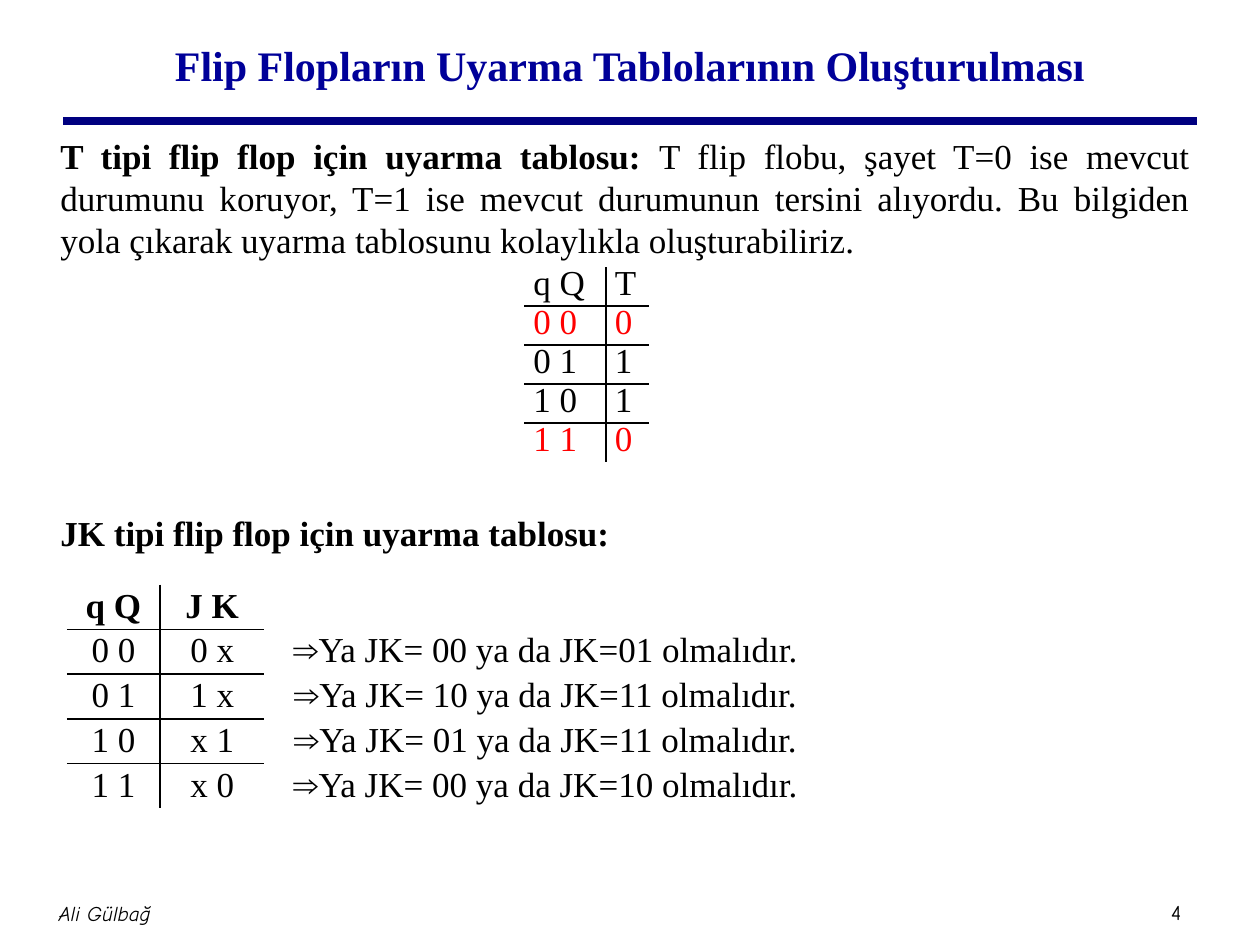
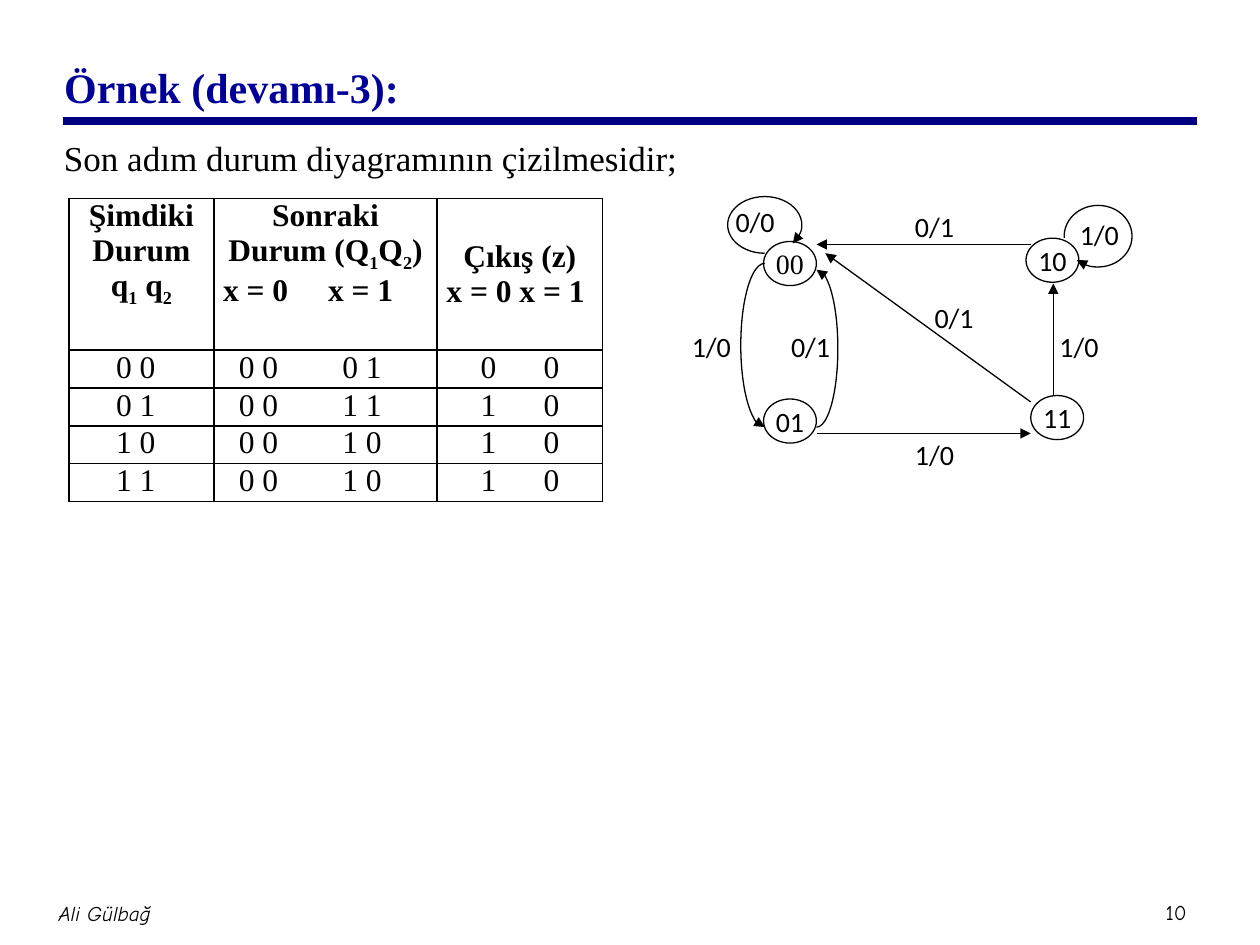
from lxml.etree import SubElement
from pptx import Presentation
from pptx.dml.color import RGBColor
from pptx.enum.shapes import MSO_CONNECTOR as Connector, MSO_SHAPE as Shape
from pptx.enum.text import MSO_ANCHOR as Anchor, PP_ALIGN as Align
from pptx.oxml.ns import qn
from pptx.util import Pt

BLACK = RGBColor(0, 0, 0)
WHITE = RGBColor(255, 255, 255)
RED = RGBColor(255, 0, 0)
RULE_BLUE = RGBColor(0, 0, 0x80)
TITLE_BLUE = RGBColor(0, 0, 0x99)
SERIF, SANS, COMIC = "Times New Roman", "Calibri", "Comic Neue"
NO_GRID_STYLE = "{2D5ABB26-0587-4C30-8999-92F81FD0307C}"


def style_runs(runs, size, font=SERIF, color=BLACK, bold=False, italic=False):
    """Format the given runs alike."""
    for run in runs:
        run.font.size, run.font.name = Pt(size), font
        run.font.color.rgb = color
        run.font.bold, run.font.italic = bold, italic


def add_text(slide, text, box, size, font=SERIF, align=Align.LEFT, inset=None, italic=False):
    """Add a text box with one paragraph and return its frame."""
    frame = slide.shapes.add_textbox(*map(Pt, box)).text_frame
    frame.word_wrap = True
    if inset is not None:
        frame.margin_left = frame.margin_right = Pt(inset)
        frame.margin_top = frame.margin_bottom = Pt(inset)
        frame.vertical_anchor = Anchor.MIDDLE
    paragraph = frame.paragraphs[0]
    paragraph.text, paragraph.alignment = text, align
    style_runs(paragraph.runs, size, font, italic=italic)
    return frame


def add_line(slide, start, end, color=BLACK, width=0.75):
    """Add a straight connector without a shadow."""
    connector = slide.shapes.add_connector(
        Connector.STRAIGHT, *map(Pt, (*start, *end)))
    connector.line.color.rgb, connector.line.width = color, Pt(width)
    SubElement(connector._element.spPr, qn("a:effectLst"))
    return connector


def add_arrowhead(shape, end="tailEnd"):
    """Put a triangle at one end of a line."""
    outline = shape._element.spPr.find(qn("a:ln"))
    SubElement(outline, qn(f"a:{end}"), type="triangle")


def start_slide(deck, title, number, left, top, align):
    """Add a titled slide with the shared rule, author and page number."""
    slide = deck.slides.add_slide(deck.slide_layouts[5])
    heading = slide.shapes.title
    heading.left, heading.top, heading.width, heading.height = map(
        Pt, (left, top, 612, 61.9))
    heading.text_frame.text = title
    heading.text_frame.vertical_anchor = Anchor.MIDDLE
    paragraph = heading.text_frame.paragraphs[0]
    paragraph.alignment = align
    style_runs(paragraph.runs, 24, color=TITLE_BLUE, bold=True)
    add_line(slide, (36, 69.1), (684, 69.1), RULE_BLUE, 4.5)
    add_text(slide, number, (655.2, 510.5, 33.8, 21.6), 12, COMIC, Align.CENTER, 3.6)
    add_text(slide, "Ali Gülbağ", (23.8, 504, 72, 36), 12, COMIC, Align.CENTER, 3.6, True)
    return slide


def add_explanation(slide):
    """Add the text about both flip flops."""
    frame = add_text(slide, "T tipi flip flop için uyarma tablosu: ",
                     (27.4, 73.4, 659.5, 267.8), 20, align=Align.JUSTIFY)
    t_text = frame.paragraphs[0]
    style_runs(t_text.runs, 20, bold=True)
    statement = t_text.add_run()
    statement.text = ("T flip flobu, şayet T=0 ise mevcut durumunu koruyor, T=1 ise "
                      "mevcut durumunun tersini alıyordu. Bu bilgiden yola çıkarak "
                      "uyarma tablosunu kolaylıkla oluşturabiliriz.")
    style_runs([statement], 20)
    jk_text = frame.add_paragraph()
    jk_text.text = "JK tipi flip flop için uyarma tablosu:"
    jk_text.space_before = Pt(143.4)
    style_runs(jk_text.runs, 20, bold=True)


def add_grid(slide, left, top, widths, heights):
    """Add an unstyled table with the given column widths and row heights."""
    table = slide.shapes.add_table(
        len(heights), len(widths), Pt(left), Pt(top),
        Pt(sum(widths)), Pt(sum(heights))).table
    table.first_row = table.horz_banding = False
    table._tbl.tblPr.find(qn("a:tableStyleId")).text = NO_GRID_STYLE
    for column, width in zip(table.columns, widths):
        column.width = Pt(width)
    for row, height in zip(table.rows, heights):
        row.height = Pt(height)
    for cell in table.iter_cells():
        cell.margin_left = cell.margin_right = Pt(5.3)
        cell.margin_top = cell.margin_bottom = 0
        cell.fill.background()
    return table


def draw_border(cell, position, side, width):
    """Set one cell border; a zero width hides it."""
    properties = cell._tc.get_or_add_tcPr()
    border = SubElement(properties, qn(f"a:ln{side}"), w=str(Pt(width)))
    properties.insert(position, border)
    if width:
        paint = SubElement(border, qn("a:solidFill"))
        SubElement(paint, qn("a:srgbClr"), val=str(BLACK))
    else:
        SubElement(border, qn("a:noFill"))


def rule_table(table, verticals, horizontals, ruled_columns, vertical_width=1.5):
    """Rule the numbered column and row boundaries of a table."""
    for r in range(len(table.rows)):
        for c in range(len(table.columns)):
            cell = table.cell(r, c)
            right = c + (cell.span_width if cell.is_merge_origin else 1)
            row_width = 1 if c < ruled_columns else 0
            borders = (("L", c in verticals, vertical_width),
                       ("R", right in verticals, vertical_width),
                       ("T", r in horizontals, row_width),
                       ("B", r + 1 in horizontals, row_width))
            for position, (side, ruled, width) in enumerate(borders):
                draw_border(cell, position, side, width if ruled else 0)


def fill_cell(cell, text, size, align=Align.CENTER, color=BLACK, bold=False, spacing=None):
    """Write one line into a table cell."""
    paragraph = cell.text_frame.paragraphs[0]
    paragraph.text, paragraph.alignment = text, align
    if spacing:
        paragraph.line_spacing = spacing
    style_runs(paragraph.runs, size, color=color, bold=bold)
    return paragraph


def add_tab_stop(paragraph, position):
    """Add a left tab stop to a paragraph."""
    stops = SubElement(paragraph._p.get_or_add_pPr(), qn("a:tabLst"))
    SubElement(stops, qn("a:tab"), pos=str(Pt(position)), algn="l")


def fill_header(cell, lines):
    """Write bold header lines, each a list whose odd parts are subscripts."""
    frame = cell.text_frame
    for index, (parts, align) in enumerate(lines):
        paragraph = frame.add_paragraph() if index else frame.paragraphs[0]
        paragraph.alignment = align
        for place, part in enumerate(parts):
            run = paragraph.add_run()
            run.text = part
            if place % 2:
                run._r.get_or_add_rPr().set("baseline", "-25000")
        style_runs(paragraph.runs, 18, bold=True)


def add_t_table(slide):
    """Add the excitation table of the T flip flop."""
    rows = [("q Q", "T"), ("0 0", "0"), ("0 1", "1"), ("1 0", "1"), ("1 1", "0")]
    table = add_grid(slide, 299.5, 152.6, (46.6, 25), [22.3] * len(rows))
    for r, row in enumerate(rows):
        for c, text in enumerate(row):
            color = RED if r in (1, 4) else BLACK
            fill_cell(table.cell(r, c), text, 20, Align.LEFT, color, spacing=0.92)
    rule_table(table, {1}, range(1, 5), 2)


def add_jk_table(slide):
    """Add the excitation table of the JK flip flop with its reasons."""
    rows = [("q Q", "J K", None), ("0 0", "0 x", ("00", "01")),
            ("0 1", "1 x", ("10", "11")), ("1 0", "x 1", ("01", "11")),
            ("1 1", "x 0", ("00", "10"))]
    table = add_grid(slide, 38.2, 334, (53.3, 59.6, 321.3), [25.6] * len(rows))
    for r, (states, inputs, choices) in enumerate(rows):
        texts = [states, inputs]
        if choices:
            texts.append("⇒Ya JK= {} ya da JK={} olmalıdır.".format(*choices))
        for c, text in enumerate(texts):
            fill_cell(table.cell(r, c), text, 20, bold=r == 0, spacing=1.06)
    rule_table(table, {1}, range(1, 5), 2, 1)


def add_state_table(slide):
    """Add the table of present states, next states and outputs."""
    rows = [("0 0", "0 0", "0 1", "0\t0"), ("0 1", "0 0", "1 1", "1\t0"),
            ("1 0", "0 0", "1 0", "1\t0"), ("1 1", "0 0", "1 0", "1\t0")]
    table = add_grid(slide, 39.4, 113.4, (67.7, 15.1, 54.7, 73, 94.5),
                     [86.7] + [21.6] * len(rows))
    present, following, output = (table.cell(0, c) for c in (0, 2, 4))
    present.merge(table.cell(0, 1))
    following.merge(table.cell(0, 3))
    center, left = Align.CENTER, Align.LEFT
    fill_header(present, [(["Şimdiki"], center), (["Durum"], center),
                          (["q", "1", " q", "2"], center)])
    fill_header(following, [(["Sonraki"], center),
                            (["Durum (Q", "1", "Q", "2", ")"], center),
                            (["x = 0\tx = 1"], left)])
    add_tab_stop(following.text_frame.paragraphs[2], 60)
    fill_header(output, [(["Çıkış (z)"], center), (["x = 0 x = 1"], left)])
    output.margin_top = Pt(23.5)
    columns = ((0, 14, center), (2, 14.3, left), (3, 18.8, left), (4, 24.8, left))
    for r, row in enumerate(rows, 1):
        for (c, margin, align), text in zip(columns, row):
            cell = table.cell(r, c)
            cell.margin_left = Pt(margin)
            paragraph = fill_cell(cell, text, 18, align)
            if "\t" in text:
                add_tab_stop(paragraph, 36)
    rule_table(table, {0, 2, 4, 5}, range(6), 5, 1)


def add_state(slide, name, left, top, font=SANS):
    """Add one state of the diagram."""
    state = slide.shapes.add_shape(Shape.OVAL, *map(Pt, (left, top, 30.2, 25.2)))
    state.shadow.inherit = False
    state.fill.solid()
    state.fill.fore_color.rgb = WHITE
    state.line.color.rgb, state.line.width = BLACK, Pt(0.75)
    frame = state.text_frame
    frame.margin_left = frame.margin_right = 0
    frame.margin_top = frame.margin_bottom = 0
    frame.word_wrap = False
    frame.vertical_anchor = Anchor.MIDDLE
    frame.text = name
    frame.paragraphs[0].alignment = Align.CENTER
    style_runs(frame.paragraphs[0].runs, 16, font)


def add_arc_arrow(slide, center, radii, start, end, arrow_end="tailEnd"):
    """Add an elliptic arrow running clockwise between two angles in degrees."""
    (x, y), (rx, ry) = center, radii
    arc = slide.shapes.add_shape(Shape.ARC, *map(Pt, (x - rx, y - ry, 2 * rx, 2 * ry)))
    arc.adjustments[0], arc.adjustments[1] = start * 0.6, end * 0.6
    arc.shadow.inherit = False
    arc.fill.background()
    arc.line.color.rgb, arc.line.width = BLACK, Pt(0.75)
    add_arrowhead(arc, arrow_end)


def add_state_diagram(slide):
    """Add the states, transitions and transition labels."""
    add_state(slide, "00", 436.3, 138, SERIF)
    add_state(slide, "01", 436.3, 228)
    add_state(slide, "10", 586.3, 136.1)
    add_state(slide, "11", 589, 226)
    add_arc_arrow(slide, (437, 197.3), (13.7, 46.8), 90, 270, "headEnd")
    add_arc_arrow(slide, (466.6, 199.1), (12.2, 45), 270, 90, "headEnd")
    add_arc_arrow(slide, (437, 128.5), (21.2, 16.2), 90, 33.4)
    add_arc_arrow(slide, (627.5, 135), (19.4, 17.6), 177, 131.7)
    transitions = [((589, 139.7), (466.6, 139.7)), ((601.9, 226.1), (601.9, 162)),
                   ((466.6, 247.7), (589, 247.7)), ((589, 229.7), (471.6, 144.7))]
    for start, end in transitions:
        add_arrowhead(add_line(slide, start, end))
    labels = [("1/0", 388.3, 185), ("0/1", 445, 185), ("0/1", 515.8, 116.2),
              ("0/1", 527, 168), ("1/0", 515.8, 246.7), ("1/0", 598.3, 185),
              ("0/0", 413.3, 113.5), ("1/0", 610, 121)]
    for label, left, top in labels:
        add_text(slide, label, (left, top, 46.1, 28), 16, SANS)


def main():
    """Build both slides and save the deck."""
    deck = Presentation()
    deck.slide_width, deck.slide_height = Pt(720), Pt(540)

    excitation = start_slide(deck, "Flip Flopların Uyarma Tablolarının Oluşturulması",
                             "4", 54, 5.8, Align.CENTER)
    add_explanation(excitation)
    add_t_table(excitation)
    add_jk_table(excitation)

    example = start_slide(deck, "Örnek (devamı-3):", "10", 29.5, 18.4, Align.LEFT)
    add_text(example, "Son adım durum diyagramının çizilmesidir;",
             (29.5, 74.2, 659.5, 32), 20)
    add_state_diagram(example)
    add_state_table(example)
    deck.save("out.pptx")


if __name__ == "__main__":
    main()
